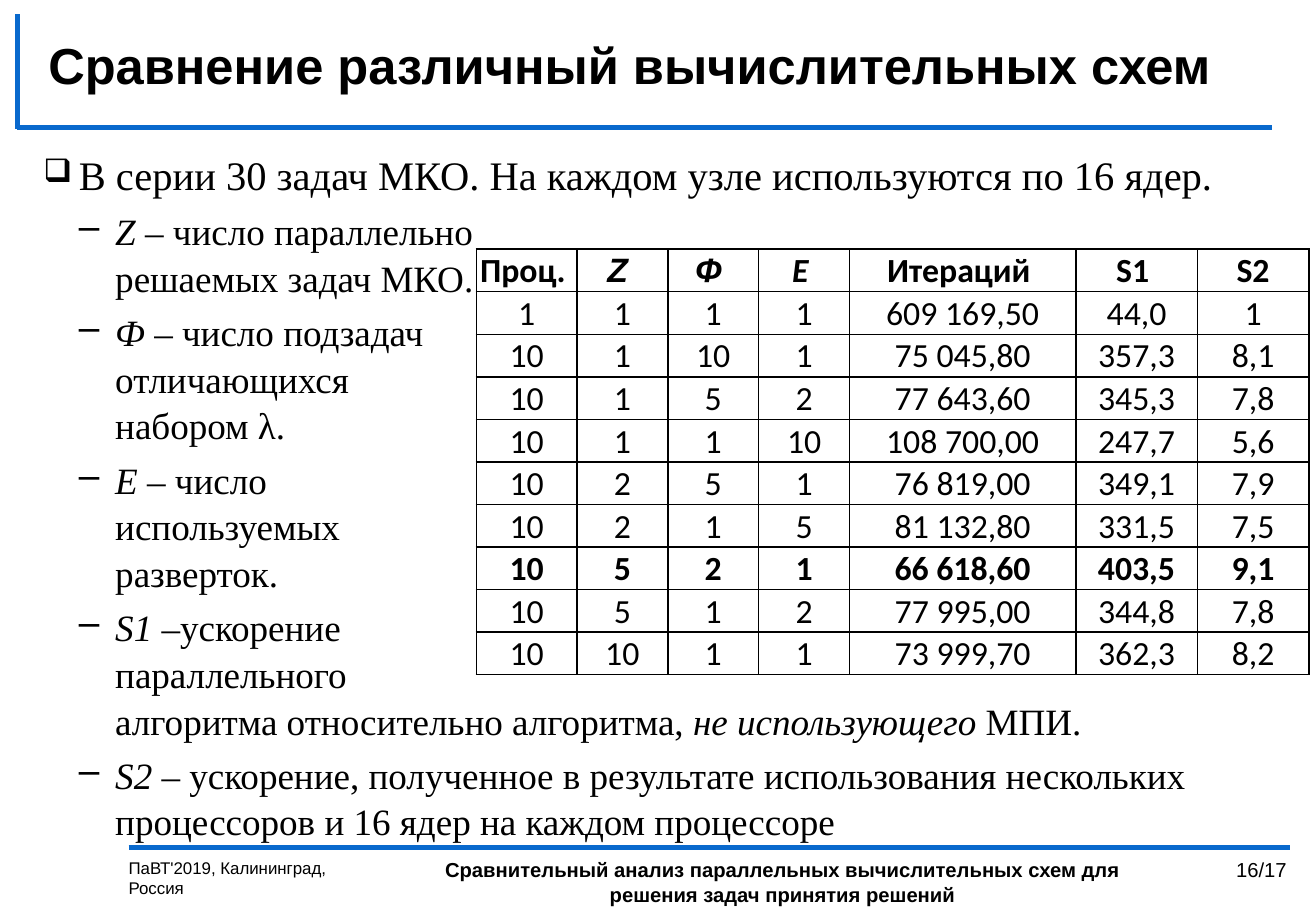
from lxml.etree import SubElement
from pptx import Presentation
from pptx.dml.color import RGBColor
from pptx.enum.shapes import MSO_CONNECTOR
from pptx.enum.text import MSO_ANCHOR, PP_ALIGN
from pptx.oxml.ns import qn
from pptx.util import Cm, Pt

BLACK, BLUE = "000000", "0969CD"
TITLE = "Сравнение различный вычислительных схем"
LEAD = "В серии 30 задач МКО. На каждом узле используются по 16 ядер."
ITEMS = [
    [("Z", True), (" – число параллельно \nрешаемых задач МКО.", False)],
    [("Ф", True), (" – число подзадач \nотличающихся \nнабором λ.", False)],
    [("E", True), (" – число \nиспользуемых \nразверток.", False)],
    [("S1 ", True),
     ("–ускорение \nпараллельного \nалгоритма относительно алгоритма, ", False),
     ("не использующего", True), (" МПИ.", False)],
    [("S2", True),
     (" – ускорение, полученное в результате использования нескольких "
      "процессоров и 16 ядер на каждом процессоре", False)],
]
HEADER = ["Проц. ", "Z ", "Ф ", "E ", "Итераций ", "S1 ", "S2"]
ROWS = [
    ["1", "1", "1", "1", "609 169,50", "44,0", "1"],
    ["10", "1", "10", "1", "75 045,80", "357,3", "8,1"],
    ["10", "1", "5", "2", "77 643,60", "345,3", "7,8"],
    ["10", "1", "1", "10", "108 700,00", "247,7", "5,6"],
    ["10", "2", "5", "1", "76 819,00", "349,1", "7,9"],
    ["10", "2", "1", "5", "81 132,80", "331,5", "7,5"],
    ["10", "5", "2", "1", "66 618,60", "403,5", "9,1"],
    ["10", "5", "1", "2", "77 995,00", "344,8", "7,8"],
    ["10", "10", "1", "1", "73 999,70", "362,3", "8,2"],
]
BOLD_ROWS = {0, 7}
COL_WIDTHS = [2.1, 1.9, 1.9, 1.9, 4.73, 2.54, 2.33]
ROW_HEIGHT = 0.89
RULES = [(2.69, 17.73, 26.97, 17.73), (0.36, 2.67, 26.6, 2.67), (0.36, 0.3, 0.36, 2.7)]
FOOTER = [
    ("ПаВТ'2019, Калининград, Россия", 2.44, 5.69, 10, False, PP_ALIGN.LEFT),
    ("Сравнительный анализ параллельных вычислительных схем для решения задач принятия решений",
     8.36, 16, 12, True, PP_ALIGN.CENTER),
    ("16/17", 24.56, 2.59, 12, False, PP_ALIGN.RIGHT),
]


def color(value):
    return RGBColor.from_string(value)


def write(p, text, size=20, font="Arial", bold=False, italic=False, align=None):
    if align is not None:
        p.alignment = align
    for i, line in enumerate(text.split("\n")):
        if i:
            p.add_line_break()
        r = p.add_run()
        r.text = line
        r.font.size, r.font.name = Pt(size), font
        r.font.bold, r.font.italic = bold, italic
        r.font.color.rgb = color(BLACK)


def text_box(s, left, top, width, height):
    tf = s.shapes.add_textbox(Cm(left), Cm(top), Cm(width), Cm(height)).text_frame
    tf.word_wrap = True
    return tf


def bullet(p, char, margin, hang, size, scale=100):
    p.space_before, p.line_spacing = Pt(size * 0.2), 1.05
    pPr = p._p.get_or_add_pPr()
    pPr.set("marL", str(Cm(margin)))
    pPr.set("indent", str(-Cm(hang)))
    SubElement(pPr, qn("a:buSzPct"), val=str(scale * 1000))
    SubElement(pPr, qn("a:buChar"), char=char)


def rule(s, x1, y1, x2, y2):
    c = s.shapes.add_connector(MSO_CONNECTOR.STRAIGHT, Cm(x1), Cm(y1), Cm(x2), Cm(y2))
    c.line.color.rgb, c.line.width = color(BLUE), Pt(3)
    SubElement(c._element.spPr, qn("a:effectLst"))


def format_cell(cell):
    cell.margin_left = cell.margin_right = cell.margin_top = Cm(0.03)
    cell.margin_bottom = 0
    cell.vertical_anchor = MSO_ANCHOR.MIDDLE
    tcPr = cell._tc.get_or_add_tcPr()
    for side in ("lnL", "lnR", "lnT", "lnB"):
        ln = SubElement(tcPr, qn(f"a:{side}"), w=str(Pt(1)))
        SubElement(SubElement(ln, qn("a:solidFill")), qn("a:srgbClr"), val=BLACK)
    cell.fill.background()


def results_table(s, left, top):
    data = [HEADER] + ROWS
    table = s.shapes.add_table(len(data), len(HEADER), Cm(left), Cm(top),
                               Cm(sum(COL_WIDTHS)), Cm(ROW_HEIGHT * len(data))).table
    table.first_row = table.horz_banding = False
    for col, width in zip(table.columns, COL_WIDTHS):
        col.width = Cm(width)
    for i, values in enumerate(data):
        table.rows[i].height = Cm(ROW_HEIGHT)
        for j, value in enumerate(values):
            cell = table.cell(i, j)
            format_cell(cell)
            write(cell.text_frame.paragraphs[0], value, bold=i in BOLD_ROWS,
                  font="Arial" if i == 0 and j in (1, 2) else "Calibri",
                  italic=i == 0 and j in (1, 2, 3), align=PP_ALIGN.CENTER)


def main():
    prs = Presentation()
    prs.slide_width, prs.slide_height = Cm(27.51), Cm(19.05)
    s = prs.slides.add_slide(prs.slide_layouts[6])
    for ends in RULES:
        rule(s, *ends)

    tf = text_box(s, 0.76, 0.58, 26.29, 1.55)
    tf.vertical_anchor = MSO_ANCHOR.MIDDLE
    write(tf.paragraphs[0], TITLE, size=30, bold=True)

    tf = text_box(s, 0.66, 2.97, 26.85, 14.76)
    p = tf.paragraphs[0]
    bullet(p, "❑", 0.74, 0.74, 24, scale=80)
    write(p, LEAD, size=24, font="Times New Roman")
    for item in ITEMS:
        p = tf.add_paragraph()
        p.level = 1
        bullet(p, "–", 1.5, 0.76, 22)
        for text, italic in item:
            write(p, text, size=22, font="Times New Roman", italic=italic)

    for text, left, width, size, bold, align in FOOTER:
        tf = text_box(s, left, 17.81, width, 1.24)
        write(tf.paragraphs[0], text, size=size, bold=bold, align=align)
    results_table(s, 9.96, 5.21)
    prs.save("out.pptx")


if __name__ == "__main__":
    main()
